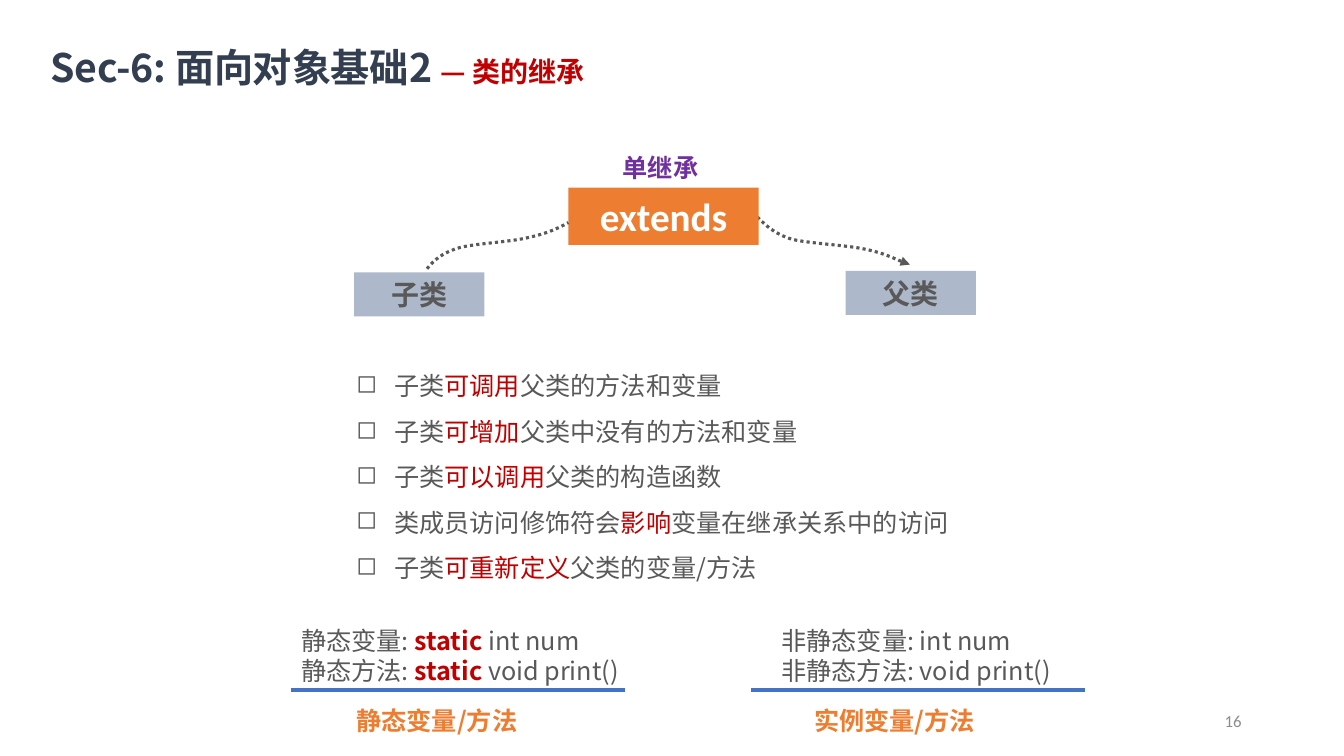
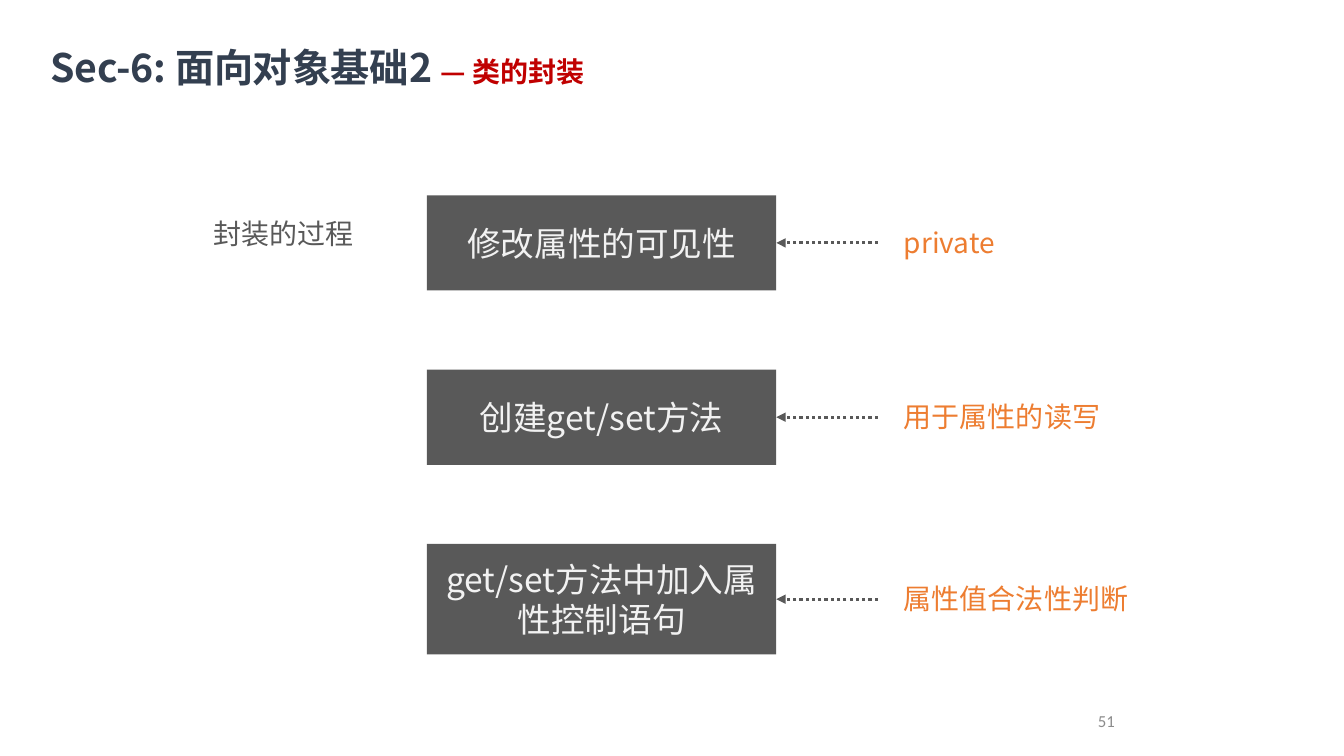
"""Build two slides on class inheritance and encapsulation."""
import dataclasses

import lxml.etree
import pptx
import pptx.dml.color
import pptx.enum.dml
import pptx.enum.shapes
import pptx.enum.text
import pptx.oxml.ns
import pptx.util

Pt = pptx.util.Pt
qn = pptx.oxml.ns.qn
ALIGN = pptx.enum.text.PP_ALIGN
ANCHOR = pptx.enum.text.MSO_ANCHOR
AUTO_SIZE = pptx.enum.text.MSO_AUTO_SIZE


@dataclasses.dataclass(frozen=True)
class Theme:
    font: str = "Noto Sans CJK SC"
    latin_font: str = "Calibri"
    navy: str = "333F50"
    red: str = "C00000"
    gray: str = "595959"
    page_gray: str = "8C8C8C"
    pale: str = "F2F2F2"
    white: str = "FFFFFF"
    orange: str = "ED7D31"
    steel: str = "ADB9CA"
    blue: str = "4472C4"
    purple: str = "7030A0"
    title: int = 28
    step: int = 24
    label: int = 20
    body: int = 18
    page: int = 12
    dotted_width: float = 2.25
    rule_width: int = 3


THEME = Theme()


class Deck:
    def __init__(self):
        self.presentation = pptx.Presentation()
        self.presentation.slide_width = Pt(960)
        self.presentation.slide_height = Pt(540)
        self.slide = None

    def add_slide(self, topic, page_number, page_right):
        layout = self.presentation.slide_layouts[5]
        self.slide = self.presentation.slides.add_slide(layout)
        title = self.slide.shapes.title
        self.apply(title, {"left": Pt(36), "top": Pt(30), "width": Pt(467), "height": Pt(34.5)})
        self.apply(title.text_frame, {"margin_left": 0, "margin_top": Pt(0.9),
                                      "margin_right": 0, "margin_bottom": 0})
        runs = [("Sec-6: 面向对象基础2 ", {}),
                (f"— {topic}", {"size": THEME.label, "color": THEME.red})]
        self.set_text(title, [runs], size=THEME.title, color=THEME.navy, bold=True)
        paragraph = title.text_frame.paragraphs[0]
        paragraph.space_before = Pt(0.9)
        paragraph.runs[0].font._element.set("spc", "-10")
        self.text(page_right - 216, 500.5, 216, 29, str(page_number), size=THEME.page,
                  color=THEME.page_gray, font=THEME.latin_font, align=ALIGN.RIGHT,
                  anchor=ANCHOR.MIDDLE, grow=False)

    @staticmethod
    def apply(target, values):
        for name, value in values.items():
            setattr(target, name, value)

    def style_run(self, run, size, color, bold=False, font=THEME.font):
        self.apply(run.font, {"name": font, "size": Pt(size), "bold": bold})
        run.font.color.rgb = pptx.dml.color.RGBColor.from_string(color)
        east_asian = lxml.etree.SubElement(run.font._element, qn("a:ea"))
        east_asian.set("typeface", font)

    def set_text(self, shape, content, align=ALIGN.LEFT, anchor=ANCHOR.TOP, grow=True,
                 spacing=None, bullet=None, **style):
        frame = shape.text_frame
        self.apply(frame, {
            "word_wrap": True, "vertical_anchor": anchor,
            "auto_size": AUTO_SIZE.SHAPE_TO_FIT_TEXT if grow else AUTO_SIZE.NONE})
        lines = [[(content, {})]] if isinstance(content, str) else content
        for index, runs in enumerate(lines):
            paragraph = frame.add_paragraph() if index else frame.paragraphs[0]
            paragraph.alignment = align
            if spacing:
                paragraph.line_spacing = Pt(spacing)
            if bullet:
                self.add_bullet(paragraph, bullet)
            for text, changes in runs:
                run = paragraph.add_run()
                run.text = text
                self.style_run(run, **{**style, **changes})

    @staticmethod
    def add_bullet(paragraph, character):
        properties = paragraph._element.get_or_add_pPr()
        properties.set("marL", str(Pt(27)))
        properties.set("indent", str(-Pt(27)))
        lxml.etree.SubElement(properties, qn("a:buChar")).set("char", character)

    def text(self, left, top, width, height, content, **style):
        box = self.slide.shapes.add_textbox(Pt(left), Pt(top), Pt(width), Pt(height))
        self.set_text(box, content, **style)

    def box(self, left, top, width, height, content, fill, **style):
        rectangle = self.slide.shapes.add_shape(
            pptx.enum.shapes.MSO_SHAPE.RECTANGLE, Pt(left), Pt(top), Pt(width), Pt(height))
        rectangle.shadow.inherit = False
        rectangle.fill.solid()
        rectangle.fill.fore_color.rgb = pptx.dml.color.RGBColor.from_string(fill)
        rectangle.line.fill.background()
        self.set_text(rectangle, content, align=ALIGN.CENTER, anchor=ANCHOR.MIDDLE, **style)
        return rectangle

    @staticmethod
    def stroke(shape, color, width, dotted=False, arrow=False):
        shape.line.color.rgb = pptx.dml.color.RGBColor.from_string(color)
        shape.line.width = Pt(width)
        if dotted:
            shape.line.dash_style = pptx.enum.dml.MSO_LINE.ROUND_DOT
        if arrow:
            outline = shape.element.spPr.find(qn("a:ln"))
            lxml.etree.SubElement(outline, qn("a:tailEnd")).set("type", "triangle")

    def line(self, start, end, color, width, target=None, site=None, **style):
        connector = self.slide.shapes.add_connector(
            pptx.enum.shapes.MSO_CONNECTOR.STRAIGHT, *map(Pt, start + end))
        if target is not None:
            connector.end_connect(target, site)
        self.stroke(connector, color, width, **style)
        lxml.etree.SubElement(connector.element.spPr, qn("a:effectLst"))

    def curve(self, points, arrow=False):
        start, *rest = [(Pt(x), Pt(y)) for x, y in points]
        builder = self.slide.shapes.build_freeform(*start)
        builder.add_line_segments(rest, close=False)
        shape = builder.convert_to_shape()
        segments = list(shape.element.iter(qn("a:lnTo")))
        for first in range(0, len(segments), 3):
            bezier = lxml.etree.Element(qn("a:cubicBezTo"))
            segments[first].addprevious(bezier)
            for segment in segments[first:first + 3]:
                bezier.append(segment[0])
                segment.getparent().remove(segment)
        shape.shadow.inherit = False
        shape.fill.background()
        self.stroke(shape, THEME.gray, THEME.dotted_width, dotted=True, arrow=arrow)


def build_inheritance(deck):
    deck.add_slide("类的继承", 16, 894)
    deck.curve([(541, 155), (547, 161), (553, 167), (566, 171), (579, 174), (604, 175),
                (618, 178), (632, 181), (641, 186), (650, 189)], arrow=True)
    deck.box(406, 134, 136, 41, "extends", THEME.orange, size=THEME.title,
             color=THEME.white, bold=True, font=THEME.latin_font)
    deck.curve([(305, 192), (310, 186), (315, 181), (328, 177), (339, 174), (363, 173),
                (376, 170), (390, 167), (397, 164), (406, 159)])
    for left, top, name in [(253, 194.5, "子类"), (604, 193.5, "父类")]:
        deck.box(left, top, 93, 31.5, name, THEME.steel, size=THEME.label,
                 color=THEME.gray, bold=True, grow=False)

    red = {"color": THEME.red}
    rules = [("子类", "可调用", "父类的方法和变量"),
             ("子类", "可增加", "父类中没有的方法和变量"),
             ("子类", "可以调用", "父类的构造函数"),
             ("类成员访问修饰符会", "影响", "变量在继承关系中的访问"),
             ("子类", "可重新定义", "父类的变量/方法")]
    body = {"size": THEME.body, "color": THEME.gray}
    deck.text(247.5, 250.5, 510, 167,
              [[(before, {}), (key, red), (after, {})] for before, key, after in rules],
              bullet="◻", spacing=32.4, **body)

    static = ("static", {**red, "bold": True})
    static_lines = [[("静态变量: ", {}), static, (" int num", {})],
                    [("静态方法: ", {}), static, (" void print()", {})]]
    instance_lines = [[("非静态变量: int num", {})], [("非静态方法: void print()", {})]]
    members = [(208, 208, 276, 247.5, static_lines, "静态变量/方法"),
               (536.5, 551, 360, 574.5, instance_lines, "实例变量/方法")]
    for rule_left, left, width, caption_left, lines, caption in members:
        deck.text(left, 443, width, 51, lines, spacing=21.4, **body)
        deck.line((rule_left, 493), (rule_left + 238.5, 493), THEME.blue, THEME.rule_width)
        deck.text(caption_left, 500.5, 164, 29, caption, size=THEME.body,
                  color=THEME.orange, bold=True)
    deck.text(423.5, 105, 96.5, 29, "单继承", size=THEME.body, color=THEME.purple,
              bold=True, align=ALIGN.CENTER)


def build_encapsulation(deck):
    deck.add_slide("类的封装", 51, 803.5)
    deck.text(145.5, 151, 136, 31.5, "封装的过程", size=THEME.label, color=THEME.gray)
    steps = [("修改属性的可见性", "private", 68),
             ("创建get/set方法", "用于属性的读写", 68),
             ("get/set方法中加入属性控制语句", "属性值合法性判断", 79)]
    for index, (action, purpose, height) in enumerate(steps):
        top = 139.5 + index * 124.5
        middle = top + height / 2
        step = deck.box(305, top, 249.5, height, action, THEME.gray, size=THEME.step,
                        color=THEME.pale, grow=False, spacing=28.6)
        deck.line((627, middle), (554.5, middle), THEME.gray, THEME.dotted_width,
                  target=step, site=3, dotted=True, arrow=True)
        deck.text(638.5, middle - 16, 184, 31.5, purpose, size=THEME.label,
                  color=THEME.orange)


def main():
    deck = Deck()
    build_inheritance(deck)
    build_encapsulation(deck)
    deck.presentation.save("out.pptx")


if __name__ == "__main__":
    main()
